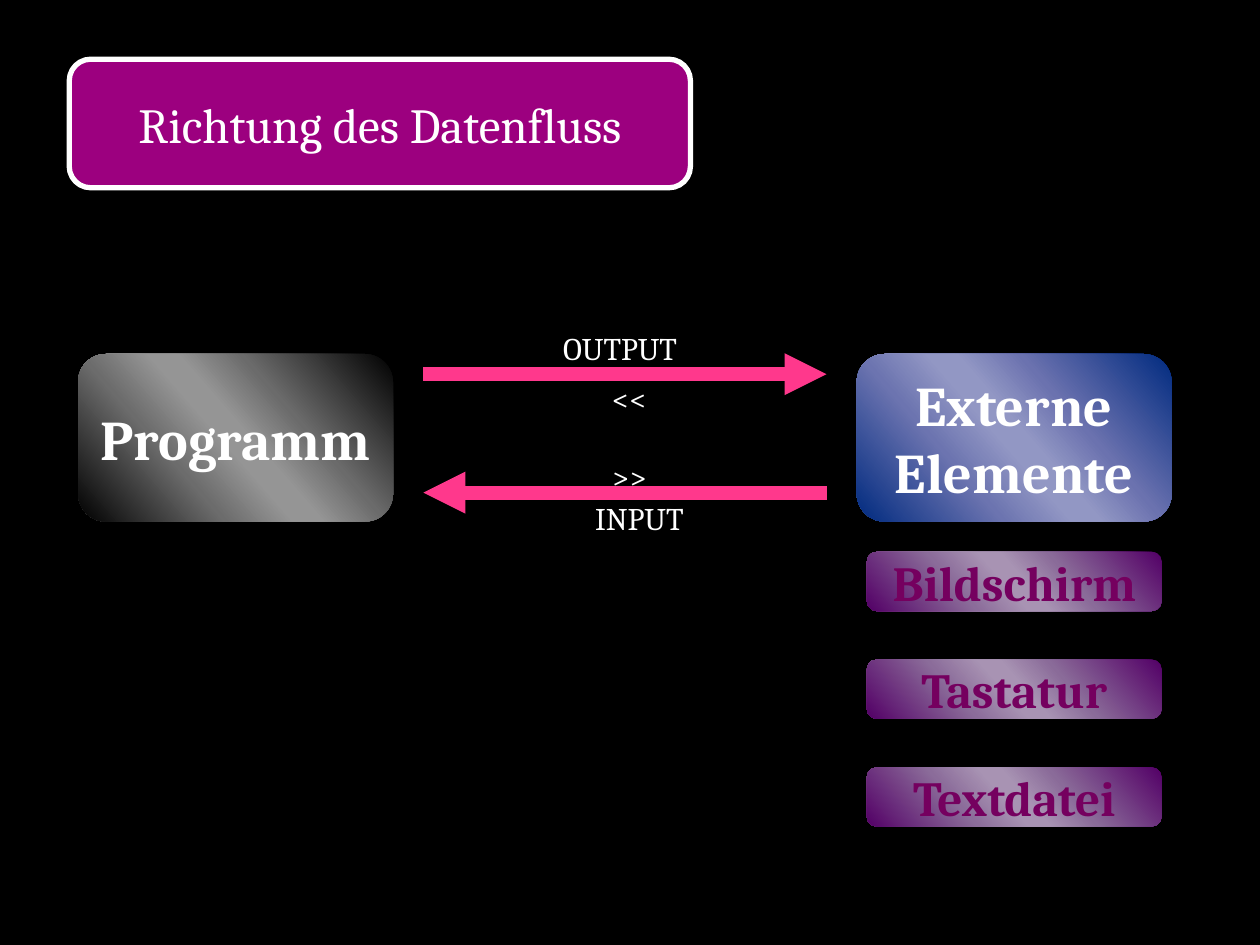
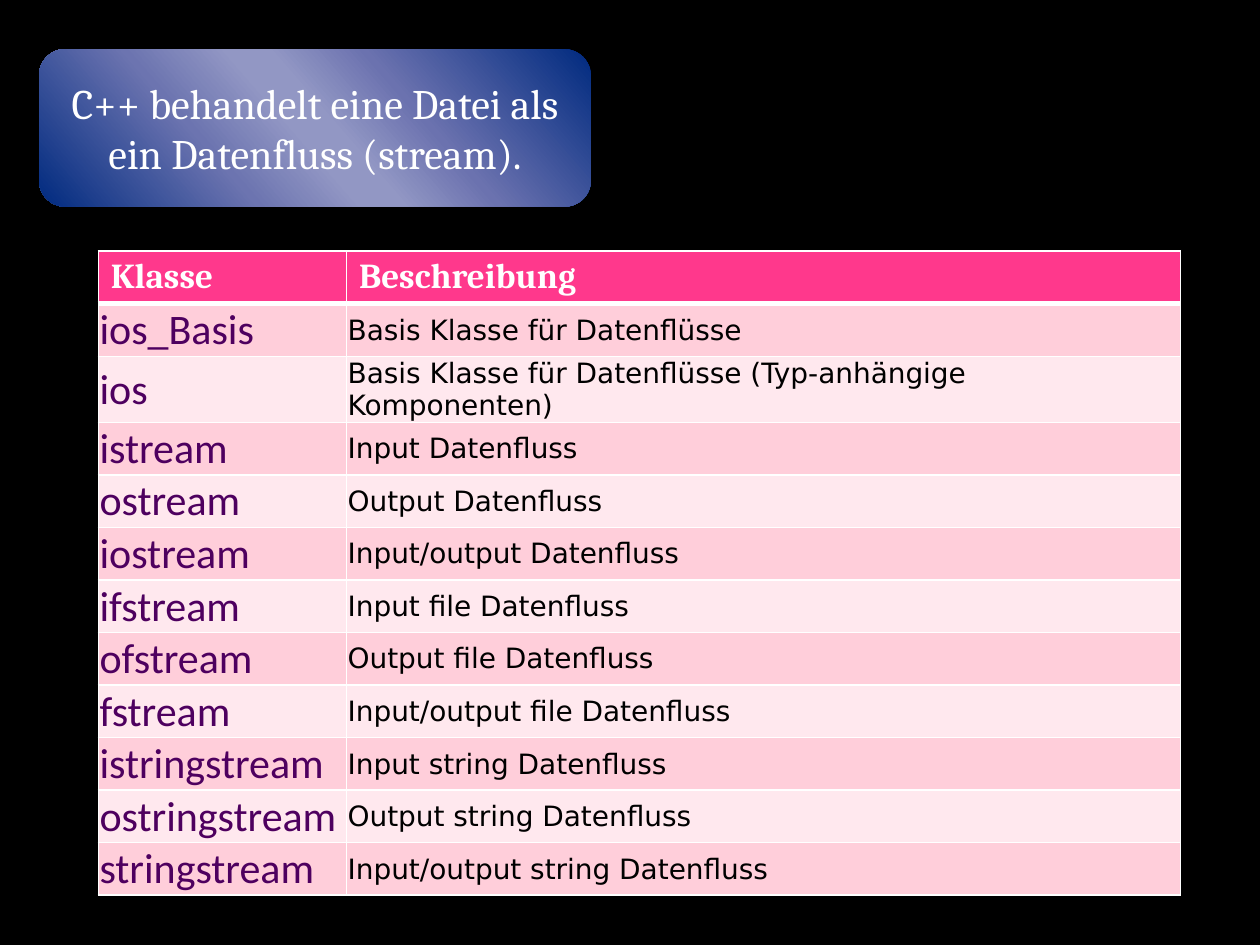
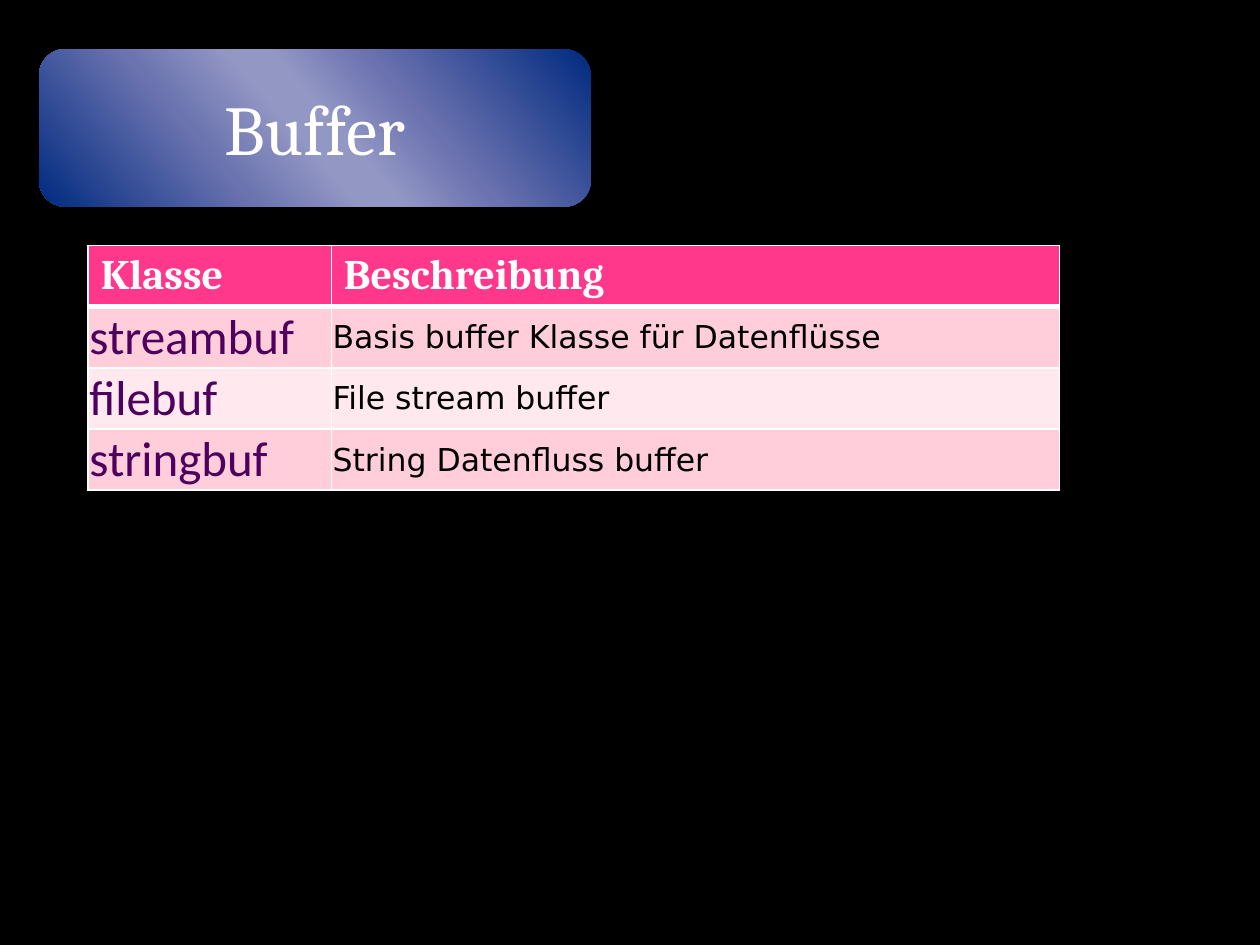
from dataclasses import dataclass

from lxml.etree import SubElement
from pptx import Presentation
from pptx.dml.color import RGBColor
from pptx.enum.shapes import MSO_CONNECTOR as Connector, MSO_SHAPE as Preset
from pptx.enum.text import MSO_ANCHOR as Anchor, MSO_AUTO_SIZE as AutoSize, PP_ALIGN as Align
from pptx.oxml.ns import qn
from pptx.util import Inches, Pt

# Grid of 100 columns by 75 rows
COLUMNS, ROWS = 100, 75
CELL = Inches(0.1)


@dataclass(frozen=True)
class Theme:
    background: str = "000000"
    white: str = "FFFFFF"
    black: str = "000000"
    pink: str = "FF388C"
    magenta: str = "9C007F"
    plum: str = "75005F"
    class_name: str = "4E005F"
    bands: tuple = ("FFCEDA", "FFE8EE")
    # Colours of the gradient stops
    gray: tuple = ("000000", "6B6B6B", "959595", "959595", "6C6C6C", "000000")
    blue: tuple = ("002A7F", "6B72AF", "9297C4", "9297C4", "6C74B0", "002A7F")
    purple: tuple = ("530066", "8A6B99", "A893B3", "A893B3", "8B6C9A", "530066")
    stops: tuple = (0, 33, 47, 53, 68, 100)
    angle: int = 139
    serif: str = "Cambria"
    sans: str = "Calibri"
    plain: str = "DejaVu Sans"
    label: int = 18
    subtitle: int = 24
    title: int = 28
    box: int = 32
    heading: int = 40


THEME = Theme()
TITLE_PANEL = (3.1, 3.9, 43.8, 12.5)
HEADER = ("Klasse", "Beschreibung")
STREAM_CLASSES = (
    ("ios_Basis", "Basis Klasse für Datenflüsse"),
    ("ios", "Basis Klasse für Datenflüsse (Typ-anhängige Komponenten)"),
    ("istream", "Input Datenfluss"),
    ("ostream", "Output Datenfluss"),
    ("iostream", "Input/output Datenfluss"),
    ("ifstream", "Input file Datenfluss"),
    ("ofstream", "Output file Datenfluss"),
    ("fstream", "Input/output file Datenfluss"),
    ("istringstream", "Input string Datenfluss"),
    ("ostringstream", "Output string Datenfluss"),
    ("stringstream", "Input/output string Datenfluss"),
)
BUFFER_CLASSES = (
    ("streambuf", "Basis buffer Klasse für Datenflüsse"),
    ("filebuf", "File stream buffer"),
    ("stringbuf", "String Datenfluss buffer"),
)


def grid(*cells):
    return [round(cell * CELL) for cell in cells]


def set_values(target, values):
    for name, value in values.items():
        setattr(target, name, value)


def write(frame, text, size, color=THEME.white, font=THEME.serif, bold=False, align=Align.CENTER):
    paragraph = frame.paragraphs[0]
    paragraph.alignment = align
    run = paragraph.add_run()
    run.text = text
    set_values(run.font, {"name": font, "size": Pt(size), "bold": bold})
    run.font.color.rgb = RGBColor.from_string(color)


def add_color(parent, color):
    SubElement(parent, qn("a:srgbClr"), val=color)


def fill_gradient(shape, colors):
    shape.fill.gradient()
    gradient = shape.fill._xPr.find(qn("a:gradFill"))
    for child in list(gradient):
        gradient.remove(child)
    stop_list = SubElement(gradient, qn("a:gsLst"))
    for position, color in zip(THEME.stops, colors):
        add_color(SubElement(stop_list, qn("a:gs"), pos=str(position * 1000)), color)
    SubElement(gradient, qn("a:lin"), ang=str(THEME.angle * 60000), scaled="0")


def add_panel(slide, place, text, size, fill, color=THEME.white, bold=False, outline=None):
    """Rounded panel; fill is one colour or a tuple of gradient colours."""
    shape = slide.shapes.add_shape(Preset.ROUNDED_RECTANGLE, *grid(*place))
    shape.shadow.inherit = False
    if isinstance(fill, tuple):
        fill_gradient(shape, fill)
    else:
        shape.fill.solid()
        shape.fill.fore_color.rgb = RGBColor.from_string(fill)
    if outline:
        shape.line.color.rgb = RGBColor.from_string(outline)
        shape.line.width = Pt(3)
    else:
        shape.line.fill.background()
    set_values(shape.text_frame, {"word_wrap": True, "vertical_anchor": Anchor.MIDDLE})
    write(shape.text_frame, text, size, color, bold=bold)


def add_arrow(slide, start, end, row):
    arrow = slide.shapes.add_connector(Connector.STRAIGHT, *grid(start, row, end, row))
    arrow.line.color.rgb = RGBColor.from_string(THEME.pink)
    arrow.line.width = Pt(8)
    properties = arrow._element.spPr
    SubElement(properties.find(qn("a:ln")), qn("a:tailEnd"), type="triangle")
    SubElement(properties, qn("a:effectLst"))


def add_label(slide, place, text, wrap=True, align=Align.CENTER):
    frame = slide.shapes.add_textbox(*grid(*place)).text_frame
    set_values(frame, {"word_wrap": wrap, "auto_size": AutoSize.SHAPE_TO_FIT_TEXT})
    write(frame, text, THEME.label, align=align)


def add_borders(cell, bottom):
    properties = cell._tc.get_or_add_tcPr()
    for side, points in (("L", 1), ("R", 1), ("T", 1), ("B", bottom)):
        line = SubElement(properties, qn(f"a:ln{side}"), w=str(Pt(points)))
        add_color(SubElement(line, qn("a:solidFill")), THEME.white)


def add_class_table(slide, origin, widths, row_height, rows, header_size, name_size, text_size):
    table_rows = (HEADER, *rows)
    place = grid(*origin, sum(widths), row_height * len(table_rows))
    table = slide.shapes.add_table(len(table_rows), len(widths), *place).table
    for column, width in zip(table.columns, grid(*widths)):
        column.width = width
    head_style = {"size": header_size, "bold": True}
    body_styles = (
        {"size": name_size, "color": THEME.class_name, "font": THEME.sans},
        {"size": text_size, "color": THEME.black, "font": THEME.plain},
    )
    edge = Inches(0.01)
    body_format = {"vertical_anchor": Anchor.MIDDLE, "margin_left": edge, "margin_right": edge,
                   "margin_top": edge, "margin_bottom": 0}
    for row_index, texts in enumerate(table_rows):
        is_header = row_index == 0
        table.rows[row_index].height = grid(row_height)[0]
        fill = THEME.pink if is_header else THEME.bands[(row_index - 1) % 2]
        for column_index, text in enumerate(texts):
            cell = table.cell(row_index, column_index)
            add_borders(cell, 3 if is_header else 1)
            cell.fill.solid()
            cell.fill.fore_color.rgb = RGBColor.from_string(fill)
            if not is_header:
                set_values(cell, body_format)
            style = head_style if is_header else body_styles[column_index]
            write(cell.text_frame, text, align=Align.LEFT, **style)


def build_flow(slide):
    # Title and the two ends of the data flow
    top, width, height = 28.1, 25, 13.3
    add_panel(slide, (6.2, top, width, height), "Programm", THEME.box, THEME.gray, bold=True)
    add_panel(slide, (5.5, 4.7, 49.3, 10.2), "Richtung des Datenfluss", THEME.title,
              THEME.magenta, outline=THEME.white)
    add_panel(slide, (68, top, width, height), "Externe Elemente", THEME.box, THEME.blue, bold=True)
    # External elements
    for index, name in enumerate(("Bildschirm", "Tastatur", "Textdatei")):
        add_panel(slide, (68.8, 43.8 + index * 8.55, 23.4, 4.7), name, THEME.title,
                  THEME.purple, THEME.plum, bold=True)
    # Arrows with their operators
    left, right, output_row, input_row = 33.6, 65.6, 29.7, 39.1
    add_arrow(slide, left, right, output_row)
    add_arrow(slide, right, left, input_row)
    add_label(slide, (40.6, input_row, 20.3, 4), "INPUT")
    add_label(slide, (43.7, 25.6, 12.5, 4), "OUTPUT", wrap=False, align=Align.LEFT)
    for row, operator in ((29.6, "<<"), (35.8, ">>")):
        add_label(slide, (43.7, row, 12.5, 4), operator)


def build_streams(slide):
    add_panel(slide, TITLE_PANEL, "C++ behandelt eine Datei als ein Datenfluss (stream).",
              THEME.subtitle, THEME.blue)
    add_class_table(slide, (7.8, 19.9), (19.7, 66.2), 4.1, STREAM_CLASSES, 20, 24, 16)


def build_buffers(slide):
    add_panel(slide, TITLE_PANEL, "Buffer", THEME.heading, THEME.blue)
    add_class_table(slide, (7, 19.5), (19.3, 57.8), 4.8, BUFFER_CLASSES, 24, 28, 18)


def main():
    presentation = Presentation()
    presentation.slide_width, presentation.slide_height = grid(COLUMNS, ROWS)
    background = presentation.slide_master.background.fill
    background.solid()
    background.fore_color.rgb = RGBColor.from_string(THEME.background)
    blank = presentation.slide_layouts[6]
    for build in (build_flow, build_streams, build_buffers):
        build(presentation.slides.add_slide(blank))
    presentation.save("out.pptx")


if __name__ == "__main__":
    main()
